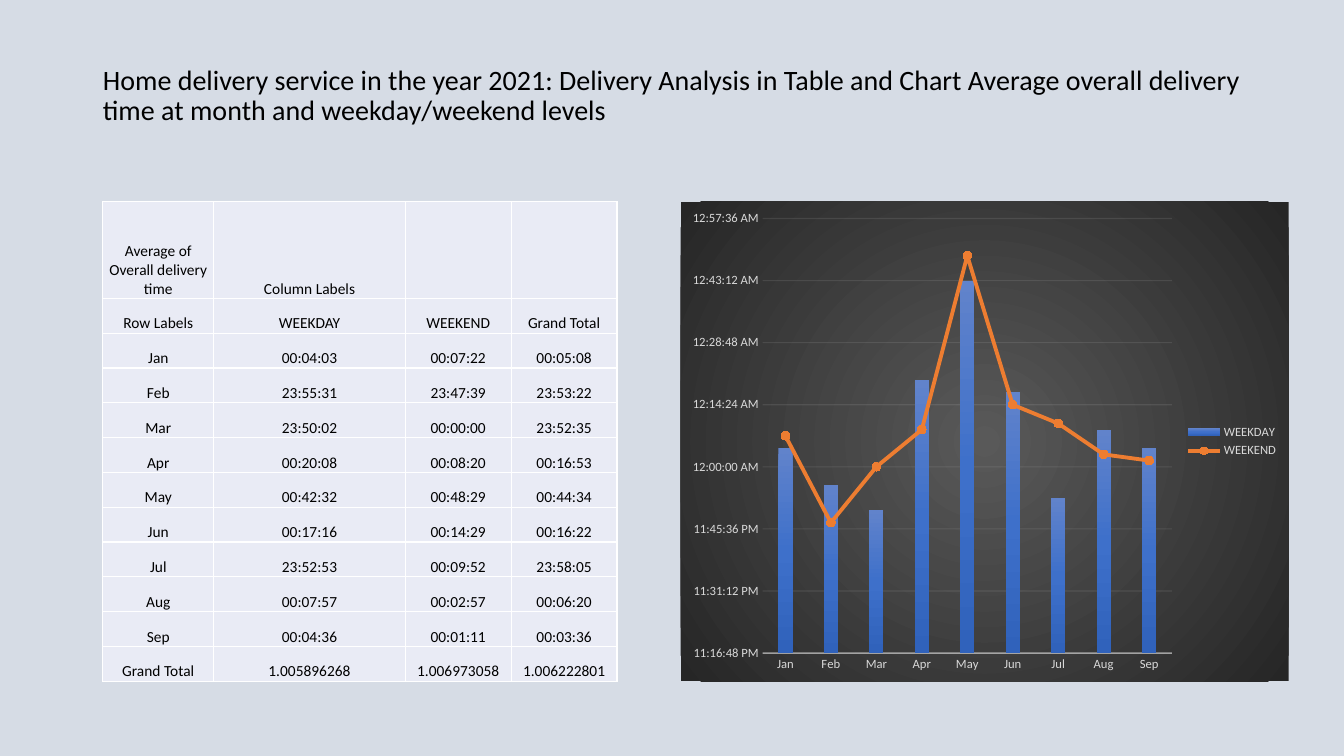
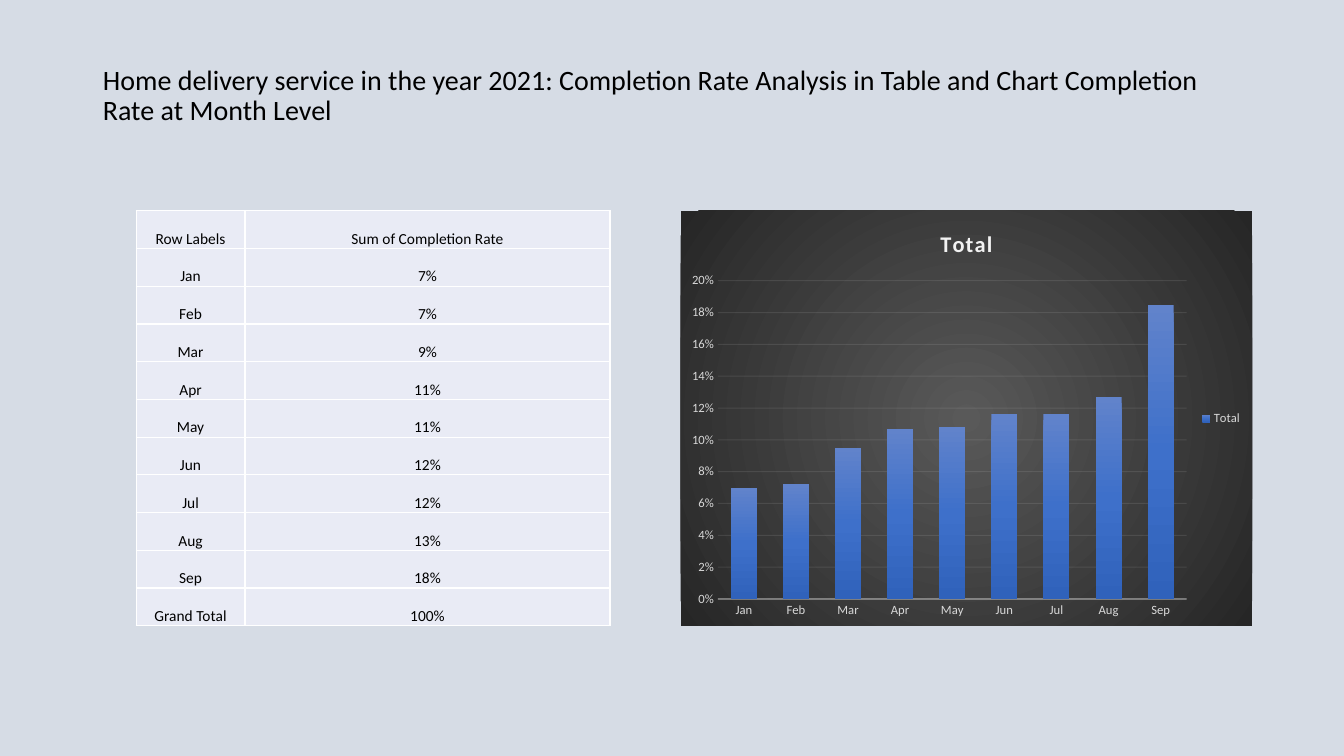
from dataclasses import dataclass

from pptx import Presentation
from pptx.chart.data import CategoryChartData
from pptx.dml.color import RGBColor
from pptx.enum.chart import XL_CHART_TYPE, XL_LEGEND_POSITION, XL_MARKER_STYLE, XL_TICK_MARK
from pptx.enum.text import MSO_ANCHOR, MSO_AUTO_SIZE, PP_ALIGN
from pptx.oxml import parse_xml
from pptx.oxml.ns import nsdecls, qn
from pptx.util import Inches, Pt

COLUMNS = XL_CHART_TYPE.COLUMN_CLUSTERED
LEGEND_RIGHT = XL_LEGEND_POSITION.RIGHT
CIRCLE = XL_MARKER_STYLE.CIRCLE
NO_TICK = XL_TICK_MARK.NONE
MIDDLE, BOTTOM = MSO_ANCHOR.MIDDLE, MSO_ANCHOR.BOTTOM
NO_FIT = MSO_AUTO_SIZE.NONE
LEFT, CENTER = PP_ALIGN.LEFT, PP_ALIGN.CENTER


@dataclass(frozen=True)
class Theme:
    font: str = "Calibri"
    background: str = "D6DCE5"
    ink: str = "000000"
    cell: str = "E9EBF5"
    border: str = "FFFFFF"
    label: str = "D9D9D9"
    light: str = "F2F2F2"
    line: str = "ED7D31"
    marker: str = "F67B28"
    bar_stops: tuple = ((0, "6183CB"), (50, "3E70CA"), (100, "3062BB"))
    panel_stops: tuple = ((0, "595959"), (100, "262626"))
    title_size: int = 20
    cell_size: int = 11
    chart_title_size: int = 16
    chart_size: int = 10
    label_size: int = 9


THEME = Theme()

# Content
DELIVERY_ROWS = [
    ("Average of Overall delivery time", "Column Labels", "", ""),
    ("Row Labels", "WEEKDAY", "WEEKEND", "Grand Total"),
    ("Jan", "00:04:03", "00:07:22", "00:05:08"),
    ("Feb", "23:55:31", "23:47:39", "23:53:22"),
    ("Mar", "23:50:02", "00:00:00", "23:52:35"),
    ("Apr", "00:20:08", "00:08:20", "00:16:53"),
    ("May", "00:42:32", "00:48:29", "00:44:34"),
    ("Jun", "00:17:16", "00:14:29", "00:16:22"),
    ("Jul", "23:52:53", "00:09:52", "23:58:05"),
    ("Aug", "00:07:57", "00:02:57", "00:06:20"),
    ("Sep", "00:04:36", "00:01:11", "00:03:36"),
    ("Grand Total", "1.005896268", "1.006973058", "1.006222801"),
]
COMPLETION_ROWS = [
    ("Row Labels", "Sum of Completion Rate"),
    ("Jan", "7%"), ("Feb", "7%"), ("Mar", "9%"), ("Apr", "11%"), ("May", "11%"),
    ("Jun", "12%"), ("Jul", "12%"), ("Aug", "13%"), ("Sep", "18%"),
    ("Grand Total", "100%"),
]
MONTHS = [row[0] for row in COMPLETION_ROWS[1:-1]]


def day_value(clock):
    """Clock time as days: late evening is just below 1, after midnight just above."""
    h, m, sec = map(int, clock.split(":"))
    days = (h * 3600 + m * 60 + sec) / 86400
    return round(days if h >= 12 else days + 1, 3)


SLIDES = [
    dict(
        title="Home delivery service in the year 2021: Delivery Analysis in Table and Chart "
              "Average overall delivery time at month and weekday/weekend levels",
        rows=DELIVERY_ROWS, table_at=(1.02, 2), columns=(1.1, 1.9, 1.05, 1.05),
        header=0.96, height=4.76,
        chart_at=(6.75, 2), chart_width=6.03, chart_title=None,
        series={DELIVERY_ROWS[1][c]: [day_value(row[c]) for row in DELIVERY_ROWS[2:-1]]
                for c in (1, 2)},
        scale=(0.97, 1.04, 0.01), number_format=r"[$-F400]h:mm:ss\ AM/PM",
        gap=219, overlap=-27,
    ),
    dict(
        title="Home delivery service in the year 2021: Completion Rate Analysis in Table and "
              "Chart Completion Rate at Month Level",
        rows=COMPLETION_ROWS, table_at=(1.35, 2.09), columns=(1.08, 3.62),
        header=None, height=4.12,
        chart_at=(6.75, 2.09), chart_width=5.67, chart_title="Total",
        series={"Total": [0.07, 0.072, 0.095, 0.107, 0.108, 0.116, 0.116, 0.127, 0.185]},
        scale=(0, 0.2, 0.02), number_format="0%",
        gap=100, overlap=-24,
    ),
]


# Formatting helpers
def rgb(value):
    return RGBColor.from_string(value)


def style_font(font, size, color, bold=False):
    font.name, font.size, font.bold = THEME.font, Pt(size), bold
    font.color.rgb = rgb(color)


def gradient_xml(stops, direction):
    gs = "".join(f'<a:gs pos="{pos * 1000}"><a:srgbClr val="{color}"/></a:gs>'
                 for pos, color in stops)
    return f'<a:gradFill {nsdecls("a")}><a:gsLst>{gs}</a:gsLst>{direction}</a:gradFill>'


def style_line(line, color, width):
    line.color.rgb, line.width = rgb(color), Pt(width)


def set_alpha(colors, percent):
    for color in colors:
        color.append(parse_xml(f'<a:alpha {nsdecls("a")} val="{percent * 1000}"/>'))


def add_title(s, text):
    title = s.shapes.title
    title.left, title.top = Inches(0.92), Inches(0.4)
    title.width, title.height = Inches(11.5), Inches(1.45)
    tf = title.text_frame
    tf.text = text
    tf.word_wrap, tf.auto_size, tf.vertical_anchor = True, NO_FIT, MIDDLE
    tf.margin_bottom = Inches(0.39)
    p = tf.paragraphs[0]
    p.alignment, p.line_spacing = LEFT, 0.9
    style_font(p.runs[0].font, THEME.title_size, THEME.ink)


# Table
def style_cell(cell, text):
    cell.text = text
    cell.vertical_anchor = BOTTOM
    cell.margin_left = cell.margin_right = cell.margin_top = Inches(0.01)
    cell.margin_bottom = 0
    p = cell.text_frame.paragraphs[0]
    p.alignment = CENTER
    style_font(p.font, THEME.cell_size, THEME.ink)
    for r in p.runs:
        style_font(r.font, THEME.cell_size, THEME.ink)
    tcPr = cell._tc.get_or_add_tcPr()
    for side in "LRTB":
        tcPr.append(parse_xml(
            f'<a:ln{side} {nsdecls("a")} w="{Pt(1)}"><a:solidFill>'
            f'<a:srgbClr val="{THEME.border}"/></a:solidFill></a:ln{side}>'))
    cell.fill.solid()
    cell.fill.fore_color.rgb = rgb(THEME.cell)


def add_data_table(s, page):
    rows, columns, height = page["rows"], page["columns"], page["height"]
    header = page["header"] or height / len(rows)
    left, top = page["table_at"]
    table = s.shapes.add_table(len(rows), len(columns), Inches(left), Inches(top),
                               Inches(sum(columns)), Inches(height)).table
    table.first_row = table.horz_banding = False
    for column, width in zip(table.columns, columns):
        column.width = Inches(width)
    for i, row in enumerate(rows):
        table.rows[i].height = Inches(header if i == 0 else (height - header) / (len(rows) - 1))
        for j, text in enumerate(row):
            style_cell(table.cell(i, j), text)


# Chart
def move_last_series_to_line(chart):
    bars = chart.plots[0]._element
    ser = bars.findall(qn("c:ser"))[-1]
    for child in ser.findall(qn("c:invertIfNegative")):
        ser.remove(child)
    lines = parse_xml(f'<c:lineChart {nsdecls("c")}><c:grouping val="standard"/>'
                      '<c:varyColors val="0"/><c:marker val="1"/></c:lineChart>')
    lines.insert(2, ser)
    for ax in bars.findall(qn("c:axId")):
        lines.append(parse_xml(f'<c:axId {nsdecls("c")} val="{ax.get("val")}"/>'))
    bars.addnext(lines)
    series = chart.plots[1].series[0]
    series.smooth = False
    style_line(series.format.line, THEME.line, 2.75)
    series.marker.style, series.marker.size = CIRCLE, 6
    series.marker.format.fill.solid()
    series.marker.format.fill.fore_color.rgb = rgb(THEME.marker)
    series.marker.format.line.fill.background()


def style_panel(chart):
    circle = ('<a:path path="circle"><a:fillToRect l="50000" t="50000" r="50000" b="50000"/>'
              '</a:path>')
    space = chart._chartSpace
    space.find(qn("c:chart")).addnext(parse_xml(
        f'<c:spPr {nsdecls("c", "a")}>{gradient_xml(THEME.panel_stops, circle)}'
        '<a:ln><a:noFill/></a:ln></c:spPr>'))
    space.find(".//" + qn("c:plotArea")).append(parse_xml(
        f'<c:spPr {nsdecls("c", "a")}><a:noFill/><a:ln><a:noFill/></a:ln></c:spPr>'))


def style_axes(chart, scale, number_format):
    cat, val = chart.category_axis, chart.value_axis
    for axis in (cat, val):
        axis.major_tick_mark = axis.minor_tick_mark = NO_TICK
        style_font(axis.tick_labels.font, THEME.label_size, THEME.label)
    style_line(cat.format.line, THEME.light, 1)
    set_alpha(cat._element.xpath("./c:spPr//a:srgbClr"), 54)
    val.format.line.fill.background()
    val.has_major_gridlines = True
    style_line(val.major_gridlines.format.line, THEME.light, 0.75)
    set_alpha(val._element.xpath("./c:majorGridlines//a:srgbClr"), 10)
    val.minimum_scale, val.maximum_scale, val.major_unit = scale
    val.tick_labels.number_format = number_format
    val.tick_labels.number_format_is_linked = False


def add_data_chart(s, page):
    data = CategoryChartData(number_format=page["number_format"])
    data.categories = MONTHS
    for name, values in page["series"].items():
        data.add_series(name, values)
    left, top = page["chart_at"]
    chart = s.shapes.add_chart(COLUMNS, Inches(left), Inches(top), Inches(page["chart_width"]),
                               Inches(page["height"]), data).chart
    style_font(chart.font, THEME.chart_size, THEME.ink)
    style_panel(chart)
    style_axes(chart, page["scale"], page["number_format"])

    plot = chart.plots[0]
    plot.vary_by_categories = False
    plot.gap_width, plot.overlap = page["gap"], page["overlap"]
    if len(page["series"]) > 1:
        move_last_series_to_line(chart)
    bar = plot.series[0]
    bar._element.get_or_add_spPr().append(
        parse_xml(gradient_xml(THEME.bar_stops, '<a:lin ang="5400000" scaled="0"/>')))

    chart.has_legend = True
    chart.legend.position, chart.legend.include_in_layout = LEGEND_RIGHT, False
    style_font(chart.legend.font, THEME.label_size, THEME.label)
    chart.has_title = bool(page["chart_title"])
    if chart.has_title:
        tf = chart.chart_title.text_frame
        tf.text = page["chart_title"]
        r = tf.paragraphs[0].runs[0]
        style_font(r.font, THEME.chart_title_size, THEME.light, bold=True)
        r._r.get_or_add_rPr().set("spc", "100")


def main():
    prs = Presentation()
    prs.slide_width, prs.slide_height = Inches(13.33), Inches(7.5)
    fill = prs.slide_master.background.fill
    fill.solid()
    fill.fore_color.rgb = rgb(THEME.background)
    for page in SLIDES:
        s = prs.slides.add_slide(prs.slide_layouts[5])
        add_title(s, page["title"])
        add_data_table(s, page)
        add_data_chart(s, page)
    prs.save("out.pptx")


if __name__ == "__main__":
    main()
